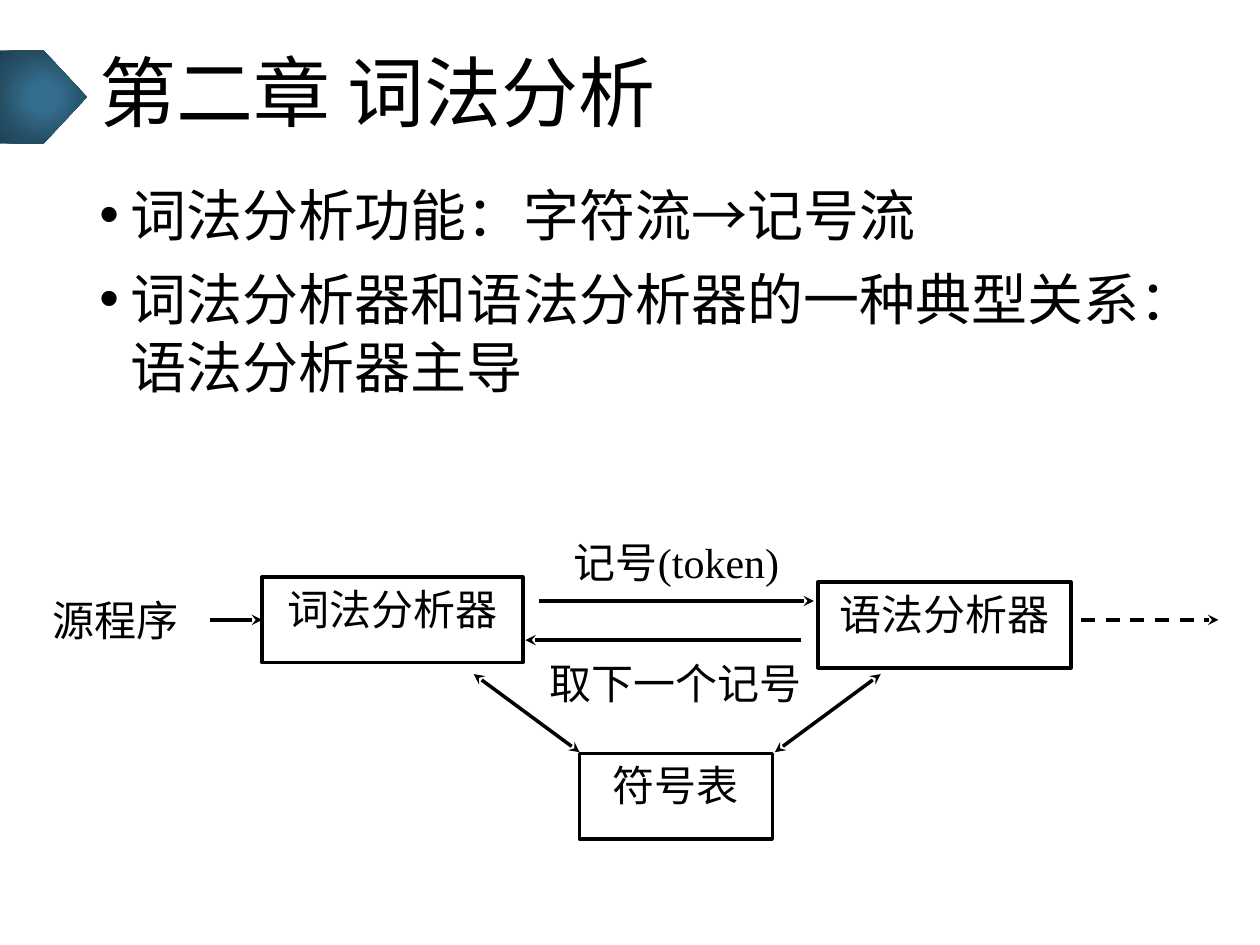
from dataclasses import dataclass

from lxml.etree import SubElement
from pptx import Presentation
from pptx.dml.color import RGBColor
from pptx.enum.dml import MSO_LINE
from pptx.enum.shapes import MSO_CONNECTOR, MSO_SHAPE
from pptx.enum.text import MSO_ANCHOR, MSO_AUTO_SIZE, PP_ALIGN
from pptx.oxml import parse_xml
from pptx.oxml.ns import nsdecls, qn
from pptx.util import Inches, Pt


@dataclass(frozen=True)
class Theme:
    font: str = "Times New Roman"
    ink: RGBColor = RGBColor(0, 0, 0)
    title_size: int = 44
    body_size: int = 32
    label_size: int = 24
    line_width: int = 2
    marker_stops: tuple = ((0, "346D8E"), (23, "346D8E"), (69, "254E64"), (97, "204457"))


class SlideBuilder:
    def __init__(self, page, theme):
        self.page = page
        self.theme = theme

    def place(self, left, top, width, height):
        return Inches(left), Inches(top), Inches(width), Inches(height)

    def style(self, para, size, align):
        para.alignment = align
        para.font.name = self.theme.font
        para.font.size = Pt(size)
        para.font.color.rgb = self.theme.ink

    def set_text(self, shape, text, size, align=PP_ALIGN.CENTER, anchor=MSO_ANCHOR.TOP):
        frame = shape.text_frame
        frame.word_wrap = True
        frame.auto_size = MSO_AUTO_SIZE.NONE
        frame.vertical_anchor = anchor
        frame.text = text
        for para in frame.paragraphs:
            self.style(para, size, align)
        return frame

    def title(self, text, *area):
        title = self.page.shapes.title
        title.left, title.top, title.width, title.height = self.place(*area)
        frame = self.set_text(title, text, self.theme.title_size, PP_ALIGN.LEFT, MSO_ANCHOR.MIDDLE)
        frame.paragraphs[0].line_spacing = 0.9

    def marker(self, *area):
        marker = self.page.shapes.add_shape(MSO_SHAPE.PENTAGON, *self.place(*area))
        marker.shadow.inherit = False
        marker.line.fill.background()
        marker.fill.gradient()
        stops = "".join(
            f'<a:gs pos="{position * 1000}"><a:srgbClr val="{color}"/></a:gs>'
            for position, color in self.theme.marker_stops
        )
        gradient = parse_xml(
            f'<a:gradFill {nsdecls("a")}><a:gsLst>{stops}</a:gsLst><a:path path="circle">'
            '<a:fillToRect l="50000" t="50000" r="50000" b="50000"/></a:path></a:gradFill>'
        )
        properties = marker._element.spPr
        properties.replace(properties.find(qn("a:gradFill")), gradient)

    def bullets(self, lines, *area):
        box = self.page.shapes.add_textbox(*self.place(*area))
        frame = self.set_text(box, "\n".join(lines), self.theme.body_size, PP_ALIGN.LEFT)
        for para in frame.paragraphs:
            para.space_before = Pt(10)
            properties = para._p.get_or_add_pPr()
            properties.set("marL", str(Inches(0.25)))
            properties.set("indent", str(-Inches(0.25)))
            bullet_font = parse_xml(f'<a:buFont {nsdecls("a")} typeface="Arial"/>')
            bullet = parse_xml(f'<a:buChar {nsdecls("a")} char="•"/>')
            properties.find(qn("a:defRPr")).addprevious(bullet_font)
            bullet_font.addnext(bullet)

    def label(self, text, *area):
        box = self.page.shapes.add_textbox(*self.place(*area))
        self.set_text(box, text, self.theme.label_size)

    def box(self, text, *area):
        box = self.page.shapes.add_shape(MSO_SHAPE.RECTANGLE, *self.place(*area))
        box.shadow.inherit = False
        box.fill.background()
        box.line.color.rgb = self.theme.ink
        box.line.width = Pt(self.theme.line_width)
        self.set_text(box, text, self.theme.label_size)
        return box

    def arrow(self, start, end, both=False, dashed=False):
        points = [Inches(value) for value in (*start, *end)]
        arrow = self.page.shapes.add_connector(MSO_CONNECTOR.STRAIGHT, *points)
        arrow.line.color.rgb = self.theme.ink
        arrow.line.width = Pt(self.theme.line_width)
        if dashed:
            arrow.line.dash_style = MSO_LINE.DASH
        outline = arrow.line._get_or_add_ln()
        for tag in ("a:headEnd", "a:tailEnd") if both else ("a:tailEnd",):
            SubElement(outline, qn(tag), type="stealth")
        SubElement(arrow._element.spPr, qn("a:effectLst"))
        return arrow


def main():
    deck = Presentation()
    deck.slide_width, deck.slide_height = Inches(10), Inches(7.5)
    page = deck.slides.add_slide(deck.slide_layouts[5])
    slide = SlideBuilder(page, Theme())

    slide.marker(0, 0.4, 0.69, 0.74)
    slide.title("第二章 词法分析", 0.69, 0.25, 8.62, 1.04)
    slide.bullets(
        ["词法分析功能：字符流→记号流", "词法分析器和语法分析器的一种典型关系：语法分析器主导"],
        0.69, 1.38, 8.62, 5.38,
    )

    lexer = slide.box("词法分析器", 2.08, 4.58, 2.07, 0.68)
    slide.box("语法分析器", 6.49, 4.62, 2.01, 0.68)
    slide.box("符号表", 4.6, 5.98, 1.53, 0.68)

    slide.arrow((3.76, 5.35), (4.6, 5.97), both=True)
    slide.arrow((6.99, 5.35), (6.15, 5.97), both=True)
    slide.arrow((4.28, 4.77), (6.46, 4.77))
    slide.arrow((6.36, 5.08), (4.17, 5.08))
    slide.arrow((1.67, 4.92), (2.08, 4.92)).end_connect(lexer, 1)
    slide.arrow((8.58, 4.92), (9.67, 4.92), dashed=True)

    slide.label("记号(token)", 4.37, 4.21, 2, 0.5)
    slide.label("取下一个记号", 4.25, 5.17, 2.23, 0.5)
    slide.label("源程序", 0.25, 4.67, 1.33, 0.69)

    deck.save("out.pptx")


if __name__ == "__main__":
    main()
